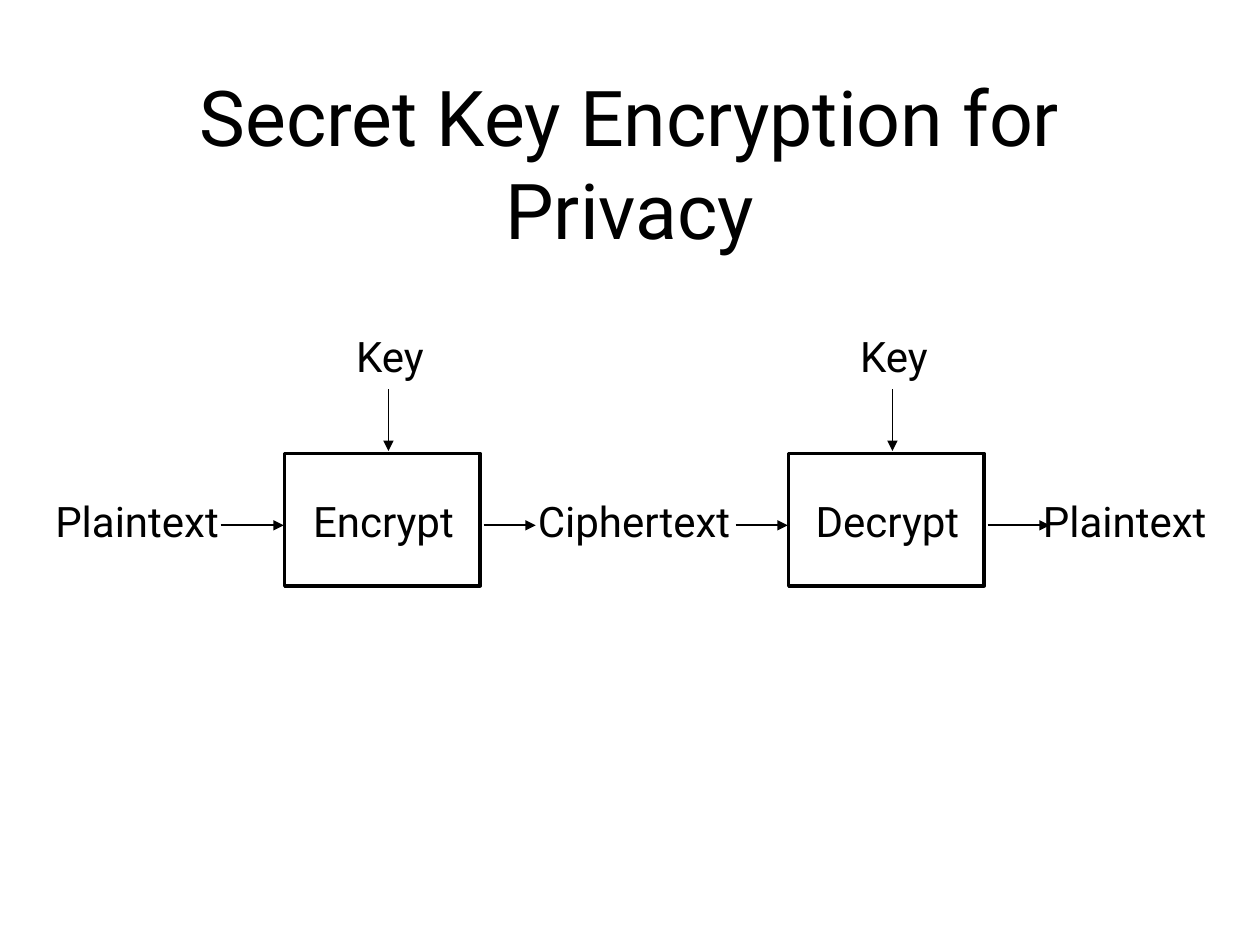
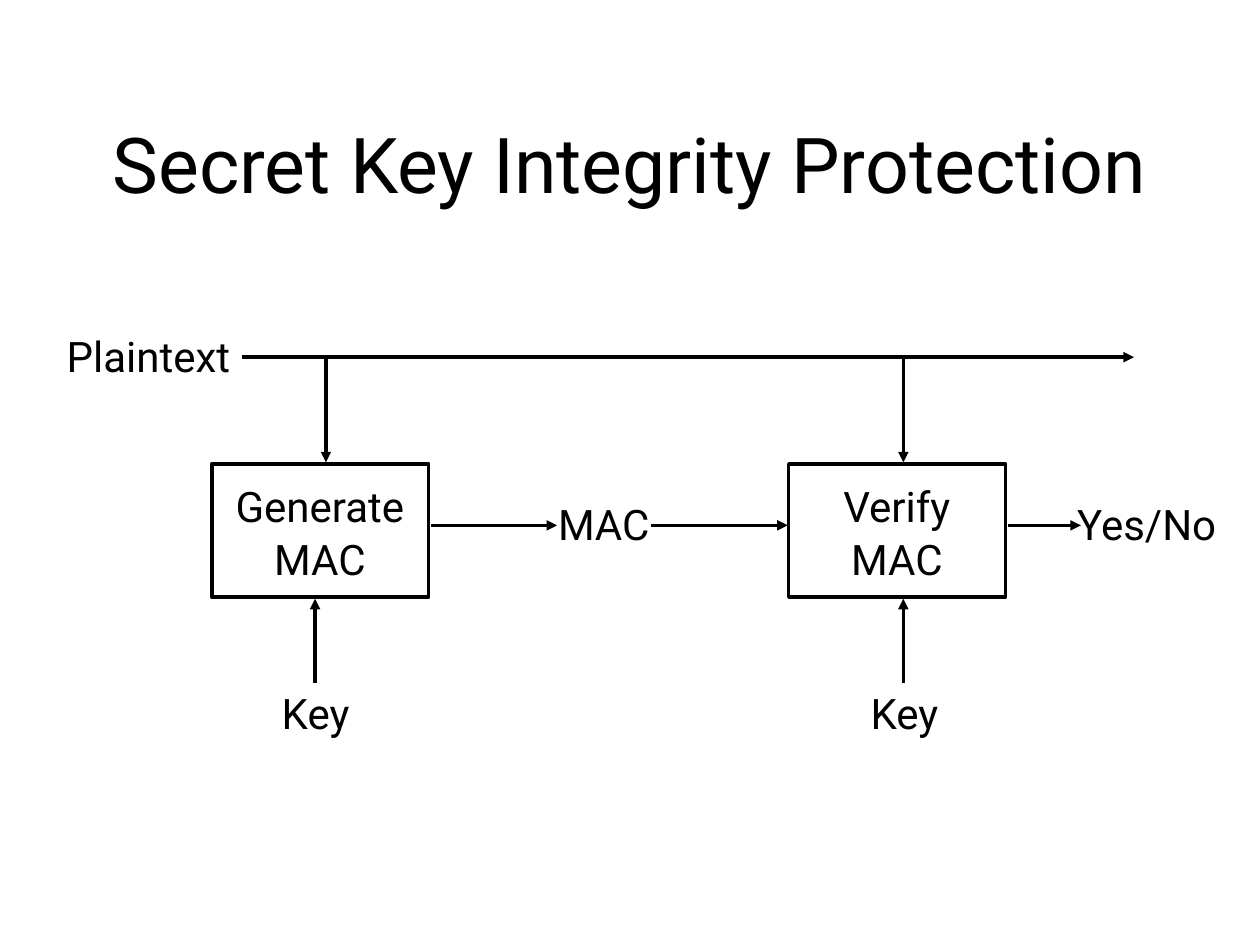
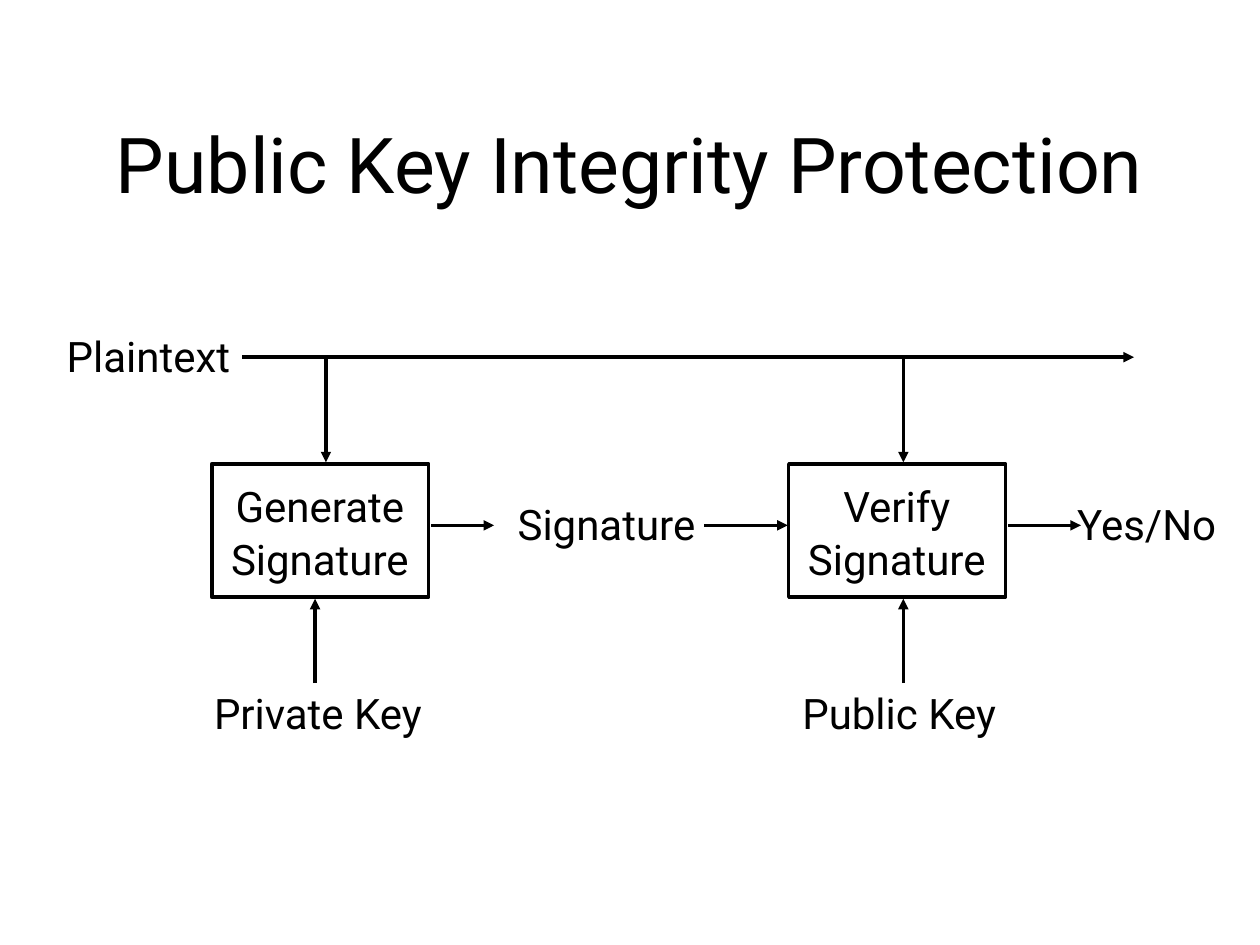
import pptx
import pptx.util
import pptx.dml.color
import pptx.enum.shapes
import pptx.enum.text
import pptx.oxml.ns
import lxml.etree

Cm, Pt = pptx.util.Cm, pptx.util.Pt
ALIGN = pptx.enum.text.PP_ALIGN
ANCHOR = pptx.enum.text.MSO_ANCHOR
FIT = pptx.enum.text.MSO_AUTO_SIZE
BLACK = pptx.dml.color.RGBColor(0, 0, 0)
WHITE = pptx.dml.color.RGBColor(255, 255, 255)
FONT = "Roboto"

# Content: cipher slide, all lengths in cm
CIPHER = {
    "title": "Secret Key Encryption for Privacy",
    "steps": ["Encrypt", "Decrypt"],
    "flow": [("Plaintext", 2.86), ("Ciphertext", 12.93), ("Plaintext", 22.77)],
    "key": "Key",
    "arrows": [(4.45, 5.72), (9.75, 10.8), (14.83, 15.88), (19.91, 21.16)],
}

# Content: integrity slides; keys are (text, centre), link is the token
# between the steps with its centre and the arrow ends beside it
CHECKS = [
    {
        "title": "Secret Key Integrity Protection",
        "token": "MAC",
        "link": (12.18, 11.23, 13.13),
        "keys": [("Key", 6.41), ("Key", 18.28)],
    },
    {
        "title": "Public Key Integrity Protection",
        "token": "Signature",
        "link": (12.37, 9.96, 14.2),
        "keys": [("Private Key", 6.53), ("Public Key", 18.21)],
    },
]

# Widths of the labels, which do not wrap
WIDTHS = {
    "Encrypt": 3.53, "Decrypt": 3.63, "Plaintext": 3.99, "Ciphertext": 4.67,
    "Key": 1.96, "Private Key": 4.93, "Public Key": 4.57, "MAC": 2.36,
    "Signature": 4.37, "Generate": 4.22, "Verify": 2.79, "Yes/No": 3.35,
}
FLOW_Y = 10.59
TOP_Y = 6.53


def write(slide, text, left, top, width, height, size=24,
          align=ALIGN.LEFT, anchor=ANCHOR.TOP, wrap=False):
    area = slide.shapes.add_textbox(Cm(left), Cm(top), Cm(width), Cm(height))
    frame = area.text_frame
    frame.word_wrap = wrap
    frame.auto_size = FIT.NONE if wrap else FIT.SHAPE_TO_FIT_TEXT
    frame.vertical_anchor = anchor
    frame.text = text
    for index, para in enumerate(frame.paragraphs):
        para.alignment = align
        para.line_spacing = 1.06 if index else 1.01
        font = para.runs[0].font
        font.name, font.size = FONT, Pt(size)
        font.color.rgb = BLACK


def label(slide, text, centre, top, align=ALIGN.LEFT):
    lines = text.split("\n")
    width = max(WIDTHS[line] for line in lines)
    height = 1.3 + 1.06 * (len(lines) - 1)
    write(slide, text, centre - width / 2, top, width, height, align=align)


def box(slide, left, top, width, height, fill=None):
    kind = pptx.enum.shapes.MSO_SHAPE.ROUNDED_RECTANGLE
    shape = slide.shapes.add_shape(kind, Cm(left), Cm(top), Cm(width), Cm(height))
    shape.adjustments[0] = 0
    shape.shadow.inherit = False
    if fill is None:
        shape.fill.background()
    else:
        shape.fill.solid()
        shape.fill.fore_color.rgb = fill
    shape.line.color.rgb = BLACK
    shape.line.width = Pt(2)


def arrow(slide, x1, y1, x2, y2, weight=2):
    kind = pptx.enum.shapes.MSO_CONNECTOR.STRAIGHT
    line = slide.shapes.add_connector(kind, Cm(x1), Cm(y1), Cm(x2), Cm(y2))
    line.line.color.rgb = BLACK
    line.line.width = Pt(weight)
    qn = pptx.oxml.ns.qn
    lxml.etree.SubElement(line.line._get_or_add_ln(), qn("a:tailEnd"), type="triangle")
    lxml.etree.SubElement(line._element.spPr, qn("a:effectLst"))


def start(deck, title):
    slide = deck.slides.add_slide(deck.slide_layouts[6])
    write(slide, title, 1.9, 1.25, 21.6, 4.03, size=44,
          align=ALIGN.CENTER, anchor=ANCHOR.MIDDLE, wrap=True)
    return slide


def cipher(deck, data):
    slide = start(deck, data["title"])
    # Steps, each with its key above
    for index, step in enumerate(data["steps"]):
        shift = 10.16 * index
        box(slide, 5.74 + shift, 9.14, 3.94, 2.67, fill=WHITE)
        label(slide, step, 7.73 + shift, 9.86, align=ALIGN.CENTER)
        label(slide, data["key"], 7.91 + shift, TOP_Y)
        arrow(slide, 7.83 + shift, 7.85, 7.83 + shift, 9.09, weight=1)
    # Flow from left to right
    for text, centre in data["flow"]:
        label(slide, text, centre, 9.86)
    for tail, head in data["arrows"]:
        arrow(slide, tail, FLOW_Y, head, FLOW_Y, weight=1)


def check(deck, data):
    slide = start(deck, data["title"])
    # Steps, each fed by the plaintext above and a key below
    steps = [("Generate", 4.27, 6.57, 6.35), ("Verify", 15.9, 18.21, 18.21)]
    for (verb, left, feed, rise), (key, centre) in zip(steps, data["keys"]):
        label(slide, verb + "\n" + data["token"], left + 2.18, 9.55, align=ALIGN.CENTER)
        box(slide, left, 9.35, 4.37, 2.69)
        arrow(slide, feed, 7.2, feed, 9.32)
        label(slide, key, centre, 13.72)
        arrow(slide, rise, 13.77, rise, 12.07)
    # Plaintext line
    label(slide, "Plaintext", 3.09, TOP_Y)
    arrow(slide, 4.88, 7.2, 22.86, 7.2)
    # Token and result
    middle, reach, leave = data["link"]
    label(slide, data["token"], middle, 9.91)
    label(slide, "Yes/No", 23.14, 9.91)
    for tail, head in [(8.69, reach), (leave, 15.88), (20.32, 21.79)]:
        arrow(slide, tail, FLOW_Y, head, FLOW_Y)


def main():
    deck = pptx.Presentation()
    deck.slide_width, deck.slide_height = Cm(25.4), Cm(19.05)
    cipher(deck, CIPHER)
    for data in CHECKS:
        check(deck, data)
    deck.save("out.pptx")


if __name__ == "__main__":
    main()
